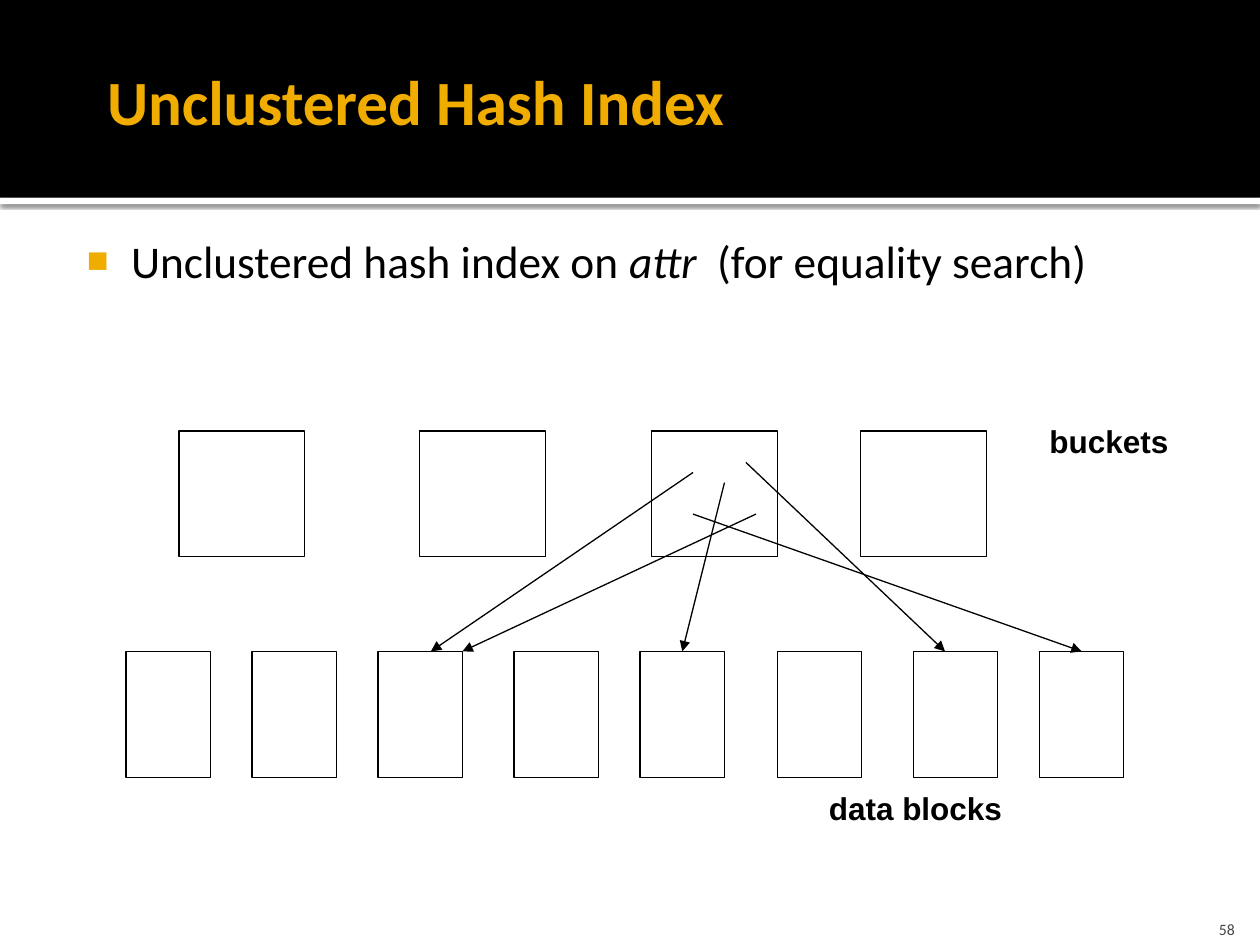
from lxml import etree
from pptx import Presentation
from pptx import util as u
from pptx.dml.color import RGBColor
from pptx.enum import shapes, text
from pptx.oxml import ns

COLORS = {"black": "000000", "white": "FFFFFF", "gold": "F0AD00", "gray": "454545"}
LINE_WIDTH = u.Pt(0.75)


def color(name):
    return RGBColor.from_string(COLORS[name])


def add_element(parent, tag, **attributes):
    return etree.SubElement(parent, ns.qn(tag), attributes)


def place(shape, left, top, width, height):
    shape.left, shape.top = u.Inches(left), u.Inches(top)
    shape.width, shape.height = u.Inches(width), u.Inches(height)


def set_frame(frame, anchor, left, top, right, bottom):
    frame.word_wrap = True
    frame.auto_size = text.MSO_AUTO_SIZE.NONE
    frame.vertical_anchor = anchor
    frame.margin_left, frame.margin_top = u.Inches(left), u.Inches(top)
    frame.margin_right, frame.margin_bottom = u.Inches(right), u.Inches(bottom)


def set_font(font, name, size, tint, bold=False):
    font.name, font.size, font.bold = name, u.Pt(size), bold
    font.color.rgb = color(tint)


def add_rectangle(page, left, top, width, height, fill, outline=None):
    box = page.shapes.add_shape(
        shapes.MSO_SHAPE.RECTANGLE,
        u.Inches(left), u.Inches(top), u.Inches(width), u.Inches(height))
    box.shadow.inherit = False
    box.fill.solid()
    box.fill.fore_color.rgb = color(fill)
    if outline:
        box.line.color.rgb = color(outline)
        box.line.width = LINE_WIDTH
    else:
        box.line.fill.background()
    return box


def add_header(page):
    stripe = add_rectangle(page, 0, 1.57, 10, 0.05, "white")
    effects = stripe.element.spPr.find(ns.qn("a:effectLst"))
    shadow = add_element(effects, "a:outerShdw", blurRad=str(u.Pt(2.5)),
                         dist=str(u.Pt(0.8)), dir="5400000", rotWithShape="0")
    tint = add_element(shadow, "a:srgbClr", val=COLORS["black"])
    add_element(tint, "a:alpha", val="60000")
    band = add_rectangle(page, 0, 0, 10, 1.57, "black")
    for shape in (stripe, band):
        page.shapes.title.element.addprevious(shape.element)


def fill_title(title):
    place(title, 0.75, 0.42, 8.5, 0.75)
    frame = title.text_frame
    set_frame(frame, text.MSO_ANCHOR.MIDDLE, 0.1, 0.05, 0.05, 0.05)
    frame.text = "Unclustered Hash Index"
    para = frame.paragraphs[0]
    para.alignment = text.PP_ALIGN.LEFT
    set_font(para.runs[0].font, "Calibri", 36, "gold", bold=True)


def fill_body(body):
    place(body, 0.5, 1.75, 8.75, 0.67)
    frame = body.text_frame
    set_frame(frame, text.MSO_ANCHOR.TOP, 0.06, 0.1, 0.1, 0.05)
    para = frame.paragraphs[0]
    para.space_before = u.Pt(0)
    props = para._p.get_or_add_pPr()
    props.set("marL", str(u.Inches(0.48)))
    props.set("indent", str(u.Inches(-0.35)))
    bullet_color = add_element(props, "a:buClr")
    add_element(bullet_color, "a:srgbClr", val=COLORS["gold"])
    add_element(props, "a:buSzPct", val="80000")
    add_element(props, "a:buChar", char="■")
    for words, italic in (("Unclustered hash index on ", False), ("attr ", True),
                          (" (for equality search)", False)):
        span = para.add_run()
        span.text = words
        set_font(span.font, "Calibri", 25.9, "black")
        span.font.italic = italic


def add_text(page, words, left, top, width, height, font_name, size, tint, bold=False):
    box = page.shapes.add_textbox(
        u.Inches(left), u.Inches(top), u.Inches(width), u.Inches(height))
    box.text_frame.text = words
    set_font(box.text_frame.paragraphs[0].runs[0].font, font_name, size, tint, bold)
    return box


def add_label(page, words, left, top, width):
    box = add_text(page, words, left, top, width, 0.5, "Arial", 18, "black", bold=True)
    box.text_frame.word_wrap = False
    box.text_frame.auto_size = text.MSO_AUTO_SIZE.SHAPE_TO_FIT_TEXT


def add_page_number(page):
    box = add_text(page, "58", 9.1, 7.15, 0.8, 0.3, "Calibri", 9, "gray")
    set_frame(box.text_frame, text.MSO_ANCHOR.BOTTOM, 0.1, 0.05, 0.1, 0)
    box.text_frame.paragraphs[0].alignment = text.PP_ALIGN.RIGHT


def add_arrow(page, start, end, block=None):
    arrow = page.shapes.add_connector(
        shapes.MSO_CONNECTOR.STRAIGHT, *(u.Inches(value) for value in start + end))
    if block is not None:
        arrow.end_connect(block, 0)
    arrow.line.color.rgb = color("black")
    arrow.line.width = LINE_WIDTH
    add_element(arrow.line._get_or_add_ln(), "a:tailEnd", type="triangle")
    add_element(arrow.element.spPr, "a:effectLst")


def add_diagram(page):
    block_top = 5.17
    for left in (1.42, 3.33, 5.17, 6.83):
        add_rectangle(page, left, 3.42, 1, 1, "white", "black")
    blocks = [add_rectangle(page, left, block_top, 0.67, 1, "white", "black")
              for left in (1, 2, 3, 4.08, 5.08, 6.17, 7.25, 8.25)]
    add_label(page, "buckets", 8.23, 3.3, 1.22)
    add_label(page, "data blocks", 6.48, 6.21, 1.72)
    for start, end_left, block in (
            ((5.5, 3.75), 3.42, None),
            ((5.75, 3.83), 5.42, blocks[4]),
            ((6, 4.08), 3.67, None),
            ((5.92, 3.67), 7.5, None),
            ((5.5, 4.08), 8.58, blocks[7])):
        add_arrow(page, start, (end_left, block_top), block)


def main():
    deck = Presentation()
    deck.slide_width, deck.slide_height = u.Inches(10), u.Inches(7.5)
    page = deck.slides.add_slide(deck.slide_layouts[1])
    add_header(page)
    add_page_number(page)
    fill_title(page.shapes.title)
    fill_body(page.placeholders[1])
    add_diagram(page)
    deck.save("out.pptx")


if __name__ == "__main__":
    main()
